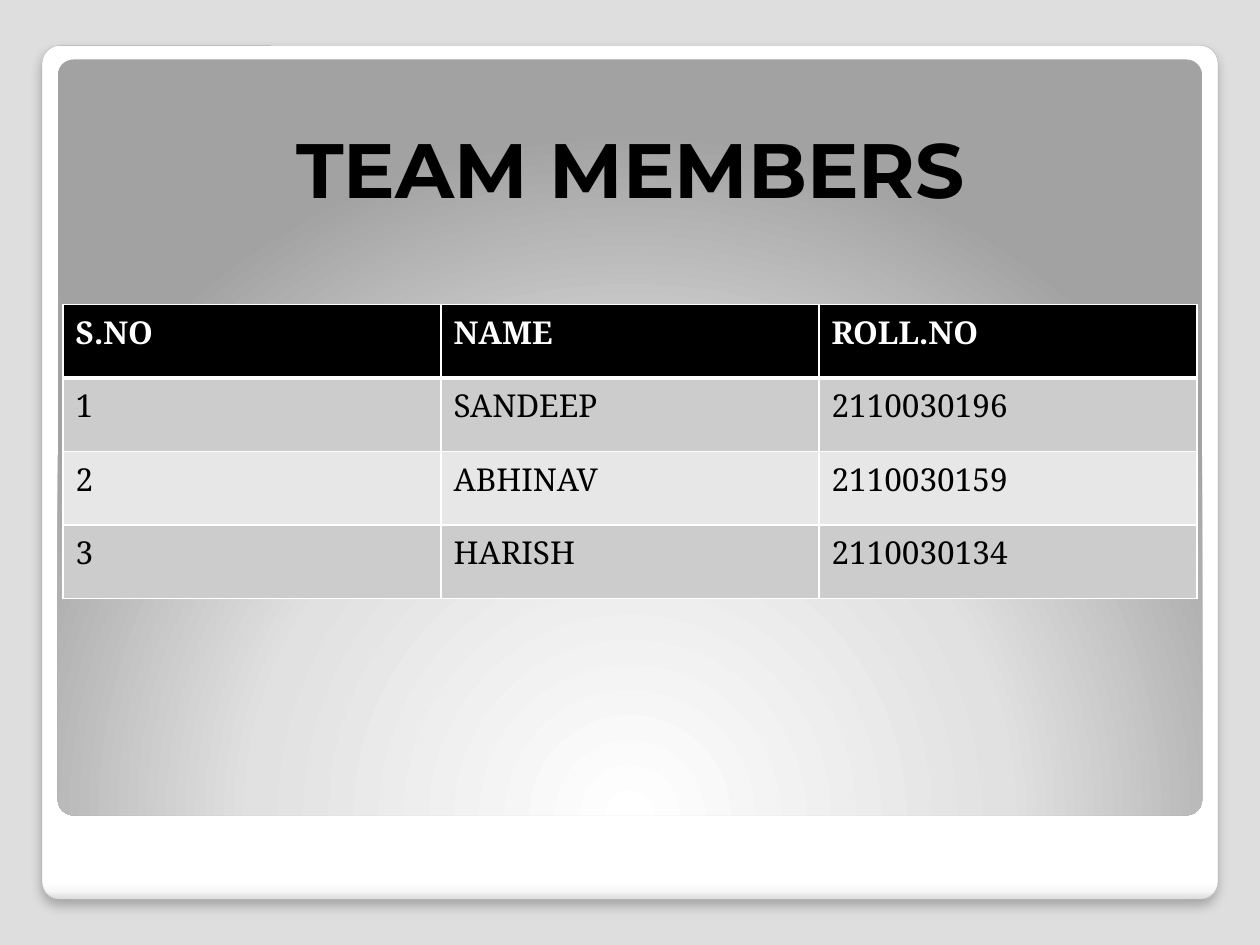
from dataclasses import dataclass

from pptx import Presentation
from pptx.dml.color import RGBColor
from pptx.enum import shapes, text
from pptx.oxml import ns, parse_xml
from pptx.util import Pt

# Content
TITLE = "TEAM MEMBERS"
ROWS = [
    ("S.NO", "NAME", "ROLL.NO"),
    ("1", "SANDEEP", "2110030196"),
    ("2", "ABHINAV", "2110030159"),
    ("3", "HARISH", "2110030134"),
]


@dataclass(frozen=True)
class Theme:
    background: str = "DEDEDE"
    outline: str = "A4A4A4"
    ink: str = "000000"
    light: str = "FFFFFF"
    bands: tuple = ("CCCCCC", "E7E7E7")
    frame_stops: tuple = ((0, "FFFFFF"), (98, "FFFFFF"), (99, "F7F7F7"), (100, "DADADA"))
    panel_stops: tuple = ((0, "FFFFFF"), (55, "E1E1E1"), (100, "A2A2A2"))
    title_font: str = "Montserrat"
    table_font: str = "Noto Serif"
    title_size: int = 44
    table_size: int = 18


T = Theme()

# Layout in points: left, top, width, height
FRAME = (24, 26, 672, 488)
PANEL = (33, 34, 654, 432)
TABLE = (36, 174, 648, 168)
TITLE_BOX = (162, 66, 420, 60.5)
LINEAR = '<a:lin ang="5400000" scaled="0"/>'
RADIAL = ('<a:path path="circle"><a:fillToRect l="50000" t="175000" '
          'r="50000" b="-75000"/></a:path>')


def rgb(value):
    return RGBColor.from_string(value)


def xml(markup):
    head, tail = markup.split(" ", 1)
    return parse_xml(f'{head} {ns.nsdecls("a")} {tail}')


def points(box):
    return [Pt(v) for v in box]


def add_run(p, words, font, size, color, bold):
    r = p.add_run()
    r.text = words
    r.font.name, r.font.size, r.font.bold = font, Pt(size), bold
    r.font.color.rgb = rgb(color)


def add_panel(s, box, stops, direction):
    sp = s.shapes.add_shape(shapes.MSO_SHAPE.ROUNDED_RECTANGLE, *points(box))
    sp.adjustments[0] = 0.021
    sp.shadow.inherit = False
    sp.line.fill.background()
    marks = "".join(f'<a:gs pos="{pos * 1000}"><a:srgbClr val="{c}"/></a:gs>'
                    for pos, c in stops)
    geometry = sp._element.spPr.find(ns.qn("a:prstGeom"))
    geometry.addnext(xml(f'<a:gradFill rotWithShape="1"><a:gsLst>{marks}</a:gsLst>'
                         f'{direction}</a:gradFill>'))
    return sp


def set_borders(cell, **widths):
    tcPr = cell._tc.get_or_add_tcPr()
    for side in "LRTB":
        width = Pt(widths.get(side, 1))
        tcPr.append(xml(f'<a:ln{side} w="{width}"><a:solidFill>'
                        f'<a:srgbClr val="{T.light}"/></a:solidFill></a:ln{side}>'))


prs = Presentation()
prs.slide_width, prs.slide_height = Pt(720), Pt(540)
s = prs.slides.add_slide(prs.slide_layouts[5])
s.background.fill.solid()
s.background.fill.fore_color.rgb = rgb(T.background)

# Frame and inner panel
frame = add_panel(s, FRAME, T.frame_stops, LINEAR)
frame.line.color.rgb = rgb(T.outline) if frame.line.fill.solid() is None else None
frame.line.width = Pt(0.16)
frame._element.spPr.find(ns.qn("a:effectLst")).append(xml(
    f'<a:outerShdw blurRad="{Pt(6)}" dist="{Pt(4)}" dir="5400000" rotWithShape="0">'
    f'<a:srgbClr val="{T.ink}"><a:alpha val="25000"/></a:srgbClr></a:outerShdw>'))
add_panel(s, PANEL, T.panel_stops, RADIAL)

# Members table
table = s.shapes.add_table(len(ROWS), len(ROWS[0]), *points(TABLE)).table
for i, row in enumerate(ROWS):
    header = i == 0
    for j, words in enumerate(row):
        cell = table.cell(i, j)
        set_borders(cell, B=3 if header else 1, T=3 if i == 1 else 1)
        cell.fill.solid()
        cell.fill.fore_color.rgb = rgb(T.ink if header else T.bands[(i - 1) % 2])
        add_run(cell.text_frame.paragraphs[0], words, T.table_font, T.table_size,
                T.light if header else T.ink, header)

# Title, in front of the panels
title = s.shapes.title
title.left, title.top, title.width, title.height = points(TITLE_BOX)
s.shapes._spTree.append(title._element)
tf = title.text_frame
tf.word_wrap = True
tf.auto_size = text.MSO_AUTO_SIZE.NONE
tf.vertical_anchor = text.MSO_ANCHOR.TOP
p = tf.paragraphs[0]
p.alignment = text.PP_ALIGN.LEFT
add_run(p, TITLE, T.title_font, T.title_size, T.ink, True)

prs.save("out.pptx")
